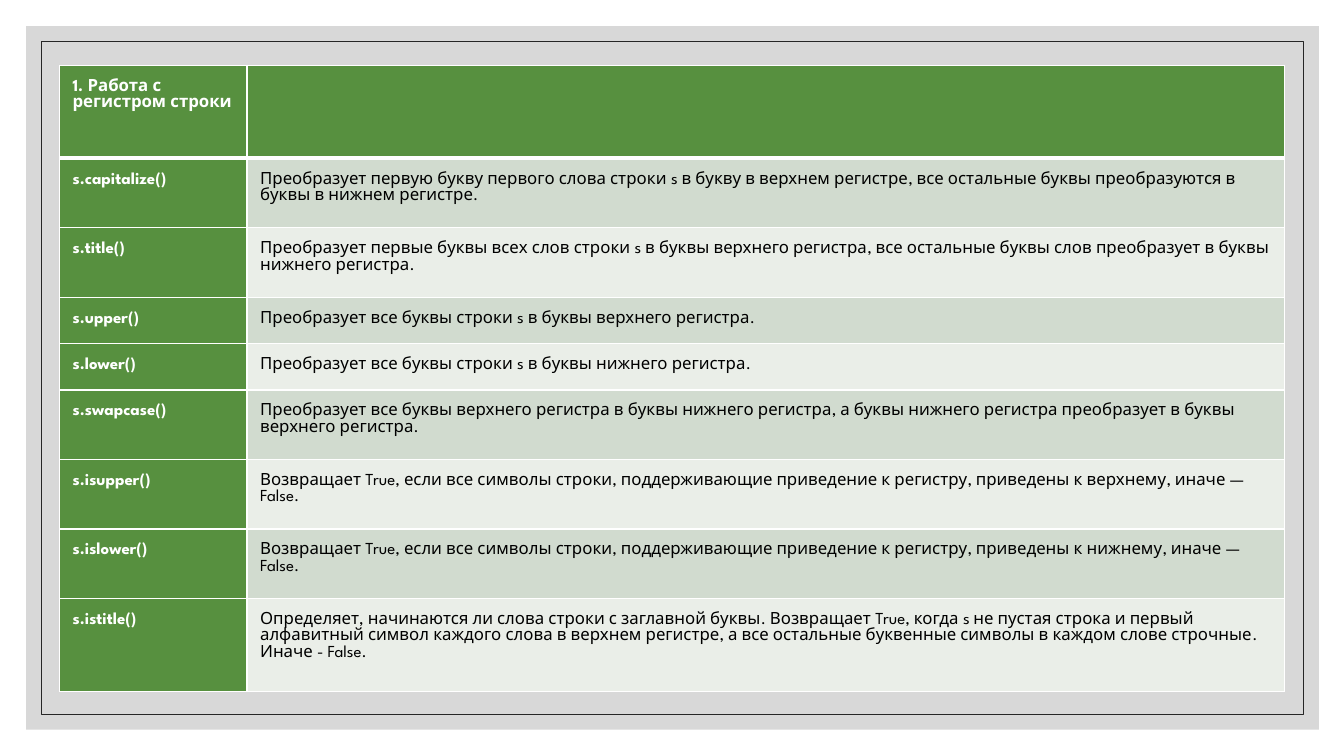
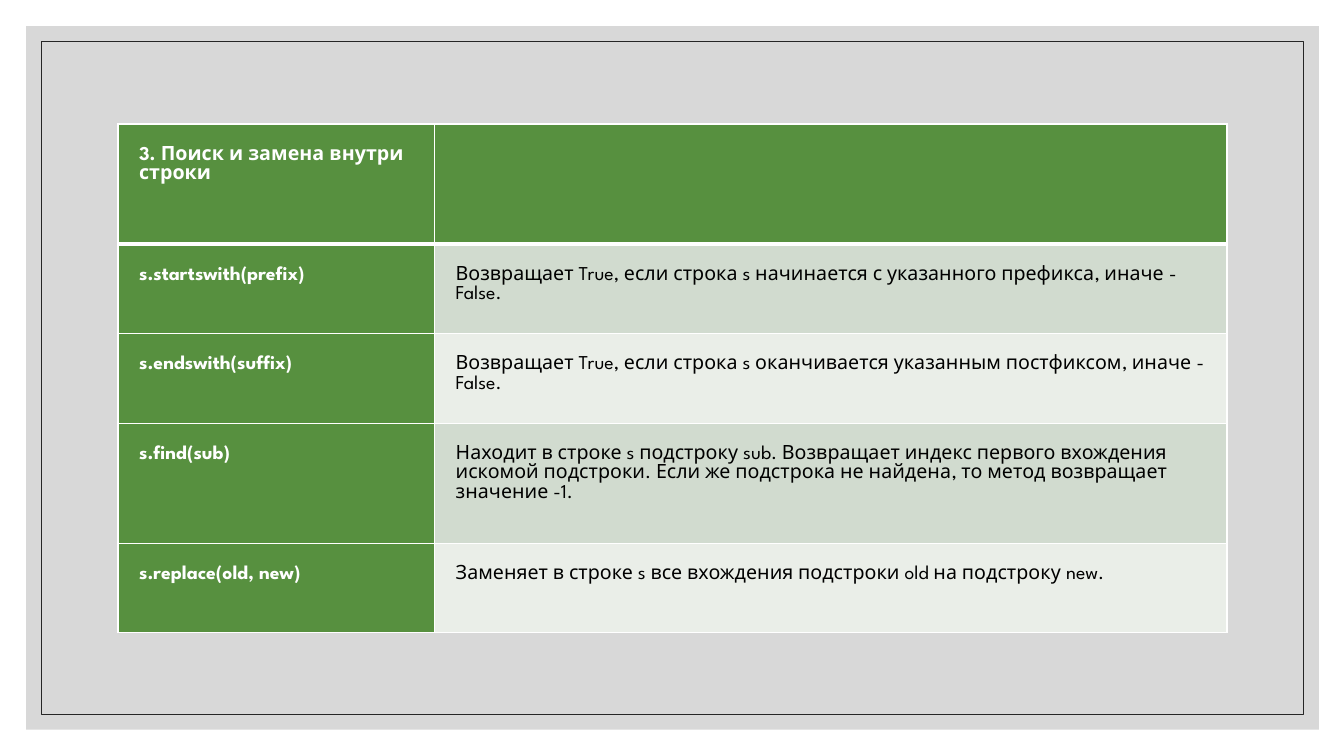
from dataclasses import dataclass

from lxml import etree
from pptx import Presentation
from pptx.dml.color import RGBColor
from pptx.enum.shapes import MSO_SHAPE
from pptx.oxml.ns import qn
from pptx.util import Emu, Pt

RECTANGLE = MSO_SHAPE.RECTANGLE
EMU_PER_PX = 9144  # 100 px to the inch
SLIDE_WIDTH, SLIDE_HEIGHT = 1333, 750
BLANK_LAYOUT = 6


@dataclass(frozen=True)
class Theme:
    font: str = "League Spartan"
    panel: str = "BFBFBF"
    panel_opacity: int = 60
    frame: str = "262626"
    frame_width: float = 0.5
    accent: str = "57903F"
    bands: tuple = ("D1DBCF", "EAEEE8")
    accent_text: str = "FFFFFF"
    body_text: str = "000000"
    border: str = "FFFFFF"
    border_width: int = 1
    header_border_width: int = 3
    line_spacing: float = 1.07
    space_after: int = 8
    small_size: int = 12
    large_size: int = 14


THEME = Theme()


def px(length):
    return Emu(length * EMU_PER_PX)


def set_format(target, values):
    for name, value in values.items():
        setattr(target, name, value)


def fill_solid(fill, color):
    fill.solid()
    fill.fore_color.rgb = RGBColor.from_string(color)


class Deck:
    def __init__(self, theme):
        self.theme = theme
        self.presentation = Presentation()
        set_format(self.presentation, {
            "slide_width": px(SLIDE_WIDTH), "slide_height": px(SLIDE_HEIGHT)})
        self.slide = None

    def add_slide(self):
        """Start a slide with the shared grey panel and thin frame."""
        layout = self.presentation.slide_layouts[BLANK_LAYOUT]
        self.slide = self.presentation.slides.add_slide(layout)
        self.add_panel(26, 26, 1282, 698)
        self.add_frame(41, 41, 1252, 668)

    def add_rectangle(self, *box):
        shape = self.slide.shapes.add_shape(RECTANGLE, *map(px, box))
        shape.shadow.inherit = False
        return shape

    def add_panel(self, *box):
        shape = self.add_rectangle(*box)
        fill_solid(shape.fill, self.theme.panel)
        color = shape.fill._xPr.find(qn("a:solidFill"))[0]
        alpha = etree.SubElement(color, qn("a:alpha"))
        alpha.set("val", str(self.theme.panel_opacity * 1000))
        shape.line.fill.background()

    def add_frame(self, *box):
        shape = self.add_rectangle(*box)
        shape.fill.background()
        fill_solid(shape.line.fill, self.theme.frame)
        shape.line.width = Pt(self.theme.frame_width)

    def add_table(self, left, top, widths, heights, rows, size, margin):
        """Add a table with a green header row and first column over banded rows."""
        frame = self.slide.shapes.add_table(
            len(rows), len(widths),
            *map(px, (left, top, sum(widths), sum(heights))))
        table = frame.table
        set_format(table, {"first_row": False, "horz_banding": False})
        for column, width in zip(table.columns, widths):
            column.width = px(width)
        for row, height in zip(table.rows, heights):
            row.height = px(height)
        for row_index, texts in enumerate(rows):
            for column_index, text in enumerate(texts):
                cell = table.cell(row_index, column_index)
                self.format_cell(cell, row_index, column_index, margin)
                if text:
                    accented = row_index == 0 or column_index == 0
                    self.write_cell(cell, text, size, accented)

    def format_cell(self, cell, row_index, column_index, margin):
        sides = ("left", "right", "top", "bottom")
        set_format(cell, {f"margin_{side}": px(margin) for side in sides})
        thin, thick = self.theme.border_width, self.theme.header_border_width
        self.add_borders(cell, {
            "L": thin, "R": thin,
            "T": thick if row_index == 1 else thin,
            "B": thick if row_index == 0 else thin})
        if row_index == 0 or column_index == 0:
            color = self.theme.accent
        else:
            color = self.theme.bands[(row_index - 1) % 2]
        fill_solid(cell.fill, color)

    def add_borders(self, cell, widths):
        properties = cell._tc.get_or_add_tcPr()
        for side, width in widths.items():
            line = etree.SubElement(properties, qn(f"a:ln{side}"), w=str(Pt(width)))
            fill = etree.SubElement(line, qn("a:solidFill"))
            etree.SubElement(fill, qn("a:srgbClr"), val=self.theme.border)

    def write_cell(self, cell, text, size, accented):
        paragraph = cell.text_frame.paragraphs[0]
        set_format(paragraph, {
            "line_spacing": self.theme.line_spacing,
            "space_after": Pt(self.theme.space_after)})
        run = paragraph.add_run()
        run.text = text
        set_format(run.font, {
            "name": self.theme.font, "size": Pt(size), "bold": accented})
        color = self.theme.accent_text if accented else self.theme.body_text
        run.font.color.rgb = RGBColor.from_string(color)


CASE_METHODS = [
    ("1. Работа с регистром строки", ""),
    ("s.capitalize()", "Преобразует первую букву первого слова строки s в букву в верхнем "
     "регистре, все остальные буквы преобразуются в буквы в нижнем регистре."),
    ("s.title()", "Преобразует первые буквы всех слов строки s в буквы верхнего регистра, "
     "все остальные буквы слов преобразует в буквы нижнего регистра."),
    ("s.upper()", "Преобразует все буквы строки s в буквы верхнего регистра."),
    ("s.lower()", "Преобразует все буквы строки s в буквы нижнего регистра."),
    ("s.swapcase()", "Преобразует все буквы верхнего регистра в буквы нижнего регистра, "
     "а буквы нижнего регистра преобразует в буквы верхнего регистра."),
    ("s.isupper()", "Возвращает True, если все символы строки, поддерживающие приведение "
     "к регистру, приведены к верхнему, иначе — False."),
    ("s.islower()", "Возвращает True, если все символы строки, поддерживающие приведение "
     "к регистру, приведены к нижнему, иначе — False."),
    ("s.istitle()", "Определяет, начинаются ли слова строки с заглавной буквы. Возвращает "
     "True, когда s не пустая строка и первый алфавитный символ каждого слова в верхнем "
     "регистре, а все остальные буквенные символы в каждом слове строчные. Иначе - False."),
]

SEARCH_METHODS = [
    ("3. Поиск и замена внутри строки", ""),
    ("s.startswith(prefix)",
     "Возвращает True, если строка s начинается с указанного префикса, иначе - False."),
    ("s.endswith(suffix)",
     "Возвращает True, если строка s оканчивается указанным постфиксом, иначе - False."),
    ("s.find(sub)", "Находит в строке s подстроку sub. Возвращает индекс первого вхождения "
     "искомой подстроки. Если же подстрока не найдена, то метод возвращает значение -1."),
    ("s.replace(old, new)",
     "Заменяет в строке s все вхождения подстроки old на подстроку new."),
]


def main():
    deck = Deck(THEME)
    deck.add_slide()
    deck.add_table(59, 65, (186, 1029), (92, 69, 69, 46, 46, 69, 69, 69, 92),
                   CASE_METHODS, THEME.small_size, margin=13)
    deck.add_slide()
    deck.add_table(117, 123, (314, 786), (119, 89, 89, 119, 89),
                   SEARCH_METHODS, THEME.large_size, margin=21)
    deck.presentation.save("out.pptx")


if __name__ == "__main__":
    main()
